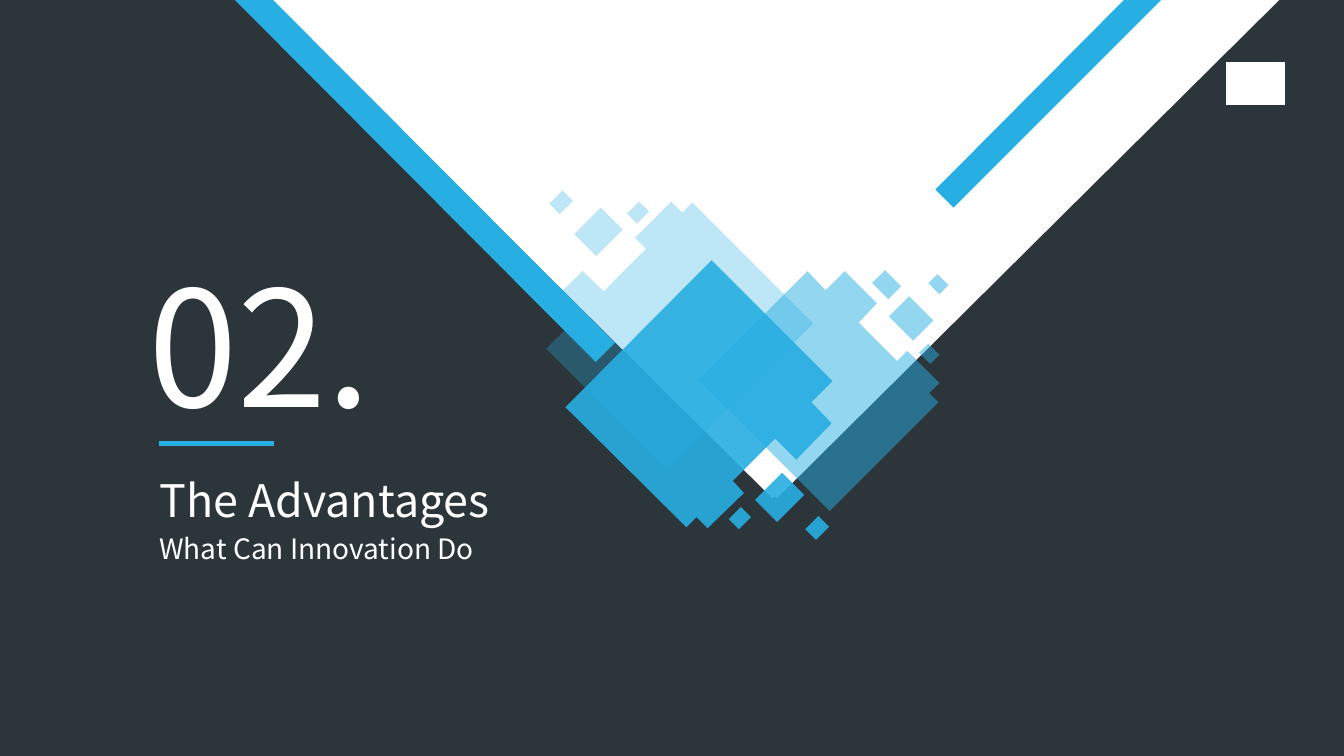
from lxml.etree import SubElement
from pptx import Presentation
from pptx.dml.color import RGBColor
from pptx.enum.shapes import MSO_CONNECTOR as Connector
from pptx.enum.text import MSO_ANCHOR as Anchor, MSO_AUTO_SIZE as AutoSize, PP_ALIGN as Align
from pptx.oxml.ns import qn
from pptx.util import Pt

COLORS = {"background": "2C353A", "white": "FFFFFF", "blue": "27AEE2"}
FONT = "Noto Sans CJK JP"

# Outlines as (x, y) corners in points
WEDGE = [(193, 0), (913.7, 0), (555.1, 355.7), (553, 354.2), (551.5, 355.7)]
RIGHT_STRIPE = [(802.8, 0), (829.4, 0), (681.1, 148.3), (668.2, 135.4)]
LEFT_STRIPE = [(167.8, 0), (195.1, 0), (439.2, 244.8), (425.5, 258.5)]
CORNER_MARK = [(875.5, 44.4), (918, 44.4), (918, 75.2), (875.5, 75.2)]

# Clusters: opacity in percent, main outline, loose tiles as (top x, top y, right run, left run)
CLUSTERS = [
    (50,
     [(576.7, 193.7), (589.7, 207.4), (603.4, 193.7), (626.4, 216.7), (613.4, 230.4),
      (640.8, 257.8), (648, 250.6), (671, 273.6), (663.8, 280.8), (670.3, 287.3),
      (592.6, 365), (499, 271.4)],
     [(663.1, 245.5, 7.9, 6.5), (649.4, 211.7, 17.3, 14.4),
      (669.6, 195.8, 7.9, 6.5), (632.2, 193, 11.5, 9.2)]),
    (30,
     [(479.5, 144), (487.4, 151.9), (494.6, 144.7), (581, 231.1), (476.6, 335.5),
      (390.2, 249.1), (405.4, 234), (390.2, 218.9), (416.2, 193.7), (431.3, 208.1),
      (461.5, 177.8), (453.6, 169.9)],
     [(429.1, 148.3, 15.8, 18.9), (456.5, 144, 7.2, 8.6), (401.8, 136.1, 7.5, 9.4)]),
    (90,
     [(508.3, 185.8), (594.7, 272.2), (579.6, 287.3), (594, 302.4), (568.8, 328.3),
      (553.7, 313.2), (523.4, 343.4), (531.4, 352.1), (505.4, 377.3), (497.5, 369.4),
      (490.3, 376.6), (403.9, 290.9)],
     [(584.6, 368.6, 7.6, 9.4), (529.2, 362.2, 7.2, 8.6), (558.7, 337.7, 15.8, 19.4)]),
]


def color(name):
    return RGBColor.from_string(COLORS[name])


def tile_corners(x, y, right, left):
    """Corners of a rectangle standing at 45 degrees, from its top corner."""
    return [(x, y), (x + right, y + right),
            (x + right - left, y + right + left), (x - left, y + left)]


def add_outline(page, contours, fill, opacity=100):
    builder = None
    for contour in contours:
        start, *rest = [(Pt(x), Pt(y)) for x, y in contour]
        if builder is None:
            builder = page.shapes.build_freeform(*start)
        else:
            builder.move_to(*start)
        builder.add_line_segments(rest, close=True)
    shape = builder.convert_to_shape()
    shape.shadow.inherit = False
    shape.line.fill.background()
    shape.fill.solid()
    shape.fill.fore_color.rgb = color(fill)
    if opacity < 100:
        tint = next(shape.element.spPr.iter(qn("a:srgbClr")))
        SubElement(tint, qn("a:alpha"), val=str(opacity * 1000))


def place(box, left, top, width, height):
    box.left, box.top, box.width, box.height = Pt(left), Pt(top), Pt(width), Pt(height)


def format_text(box, text, size, anchor=Anchor.TOP):
    frame = box.text_frame
    frame.text = text
    frame.word_wrap = True
    frame.auto_size = AutoSize.SHAPE_TO_FIT_TEXT
    frame.vertical_anchor = anchor
    frame.margin_left = frame.margin_right = frame.margin_top = frame.margin_bottom = Pt(0)
    para = frame.paragraphs[0]
    para.alignment = Align.LEFT
    para.line_spacing = 1.0
    para.space_before = para.space_after = Pt(0)
    span = para.runs[0]
    span.font.name = FONT
    span.font.size = Pt(size)
    span.font.color.rgb = color("white")


def add_rule(page, left, right, y, width):
    rule = page.shapes.add_connector(Connector.STRAIGHT, Pt(left), Pt(y), Pt(right), Pt(y))
    rule.line.color.rgb = color("blue")
    rule.line.width = Pt(width)
    SubElement(rule.element.spPr, qn("a:effectLst"))


def main():
    deck = Presentation()
    deck.slide_width, deck.slide_height = Pt(960), Pt(540)
    page = deck.slides.add_slide(deck.slide_layouts[0])
    page.background.fill.solid()
    page.background.fill.fore_color.rgb = color("background")

    # Wedge and stripes
    add_outline(page, [WEDGE], "white")
    add_outline(page, [RIGHT_STRIPE], "blue")
    add_outline(page, [LEFT_STRIPE], "blue")

    # Tile clusters
    for opacity, outline, tiles in CLUSTERS:
        contours = [outline] + [tile_corners(*tile) for tile in tiles]
        add_outline(page, contours, "blue", opacity)

    # Section number, title and subtitle
    number = page.shapes.add_textbox(Pt(105.8), Pt(175), Pt(187.9), Pt(139.7))
    format_text(number, "02.", 115, Anchor.MIDDLE)
    title, subtitle = page.placeholders
    place(title, 113.8, 337.7, 252, 38.9)
    format_text(title, "The Advantages", 32)
    place(subtitle, 113.8, 379.4, 261.4, 24.5)
    format_text(subtitle, "What Can Innovation Do", 20)
    add_rule(page, 113.8, 195.8, 316.8, 3.3)

    # Corner mark
    add_outline(page, [CORNER_MARK], "white")

    deck.save("out.pptx")


if __name__ == "__main__":
    main()
